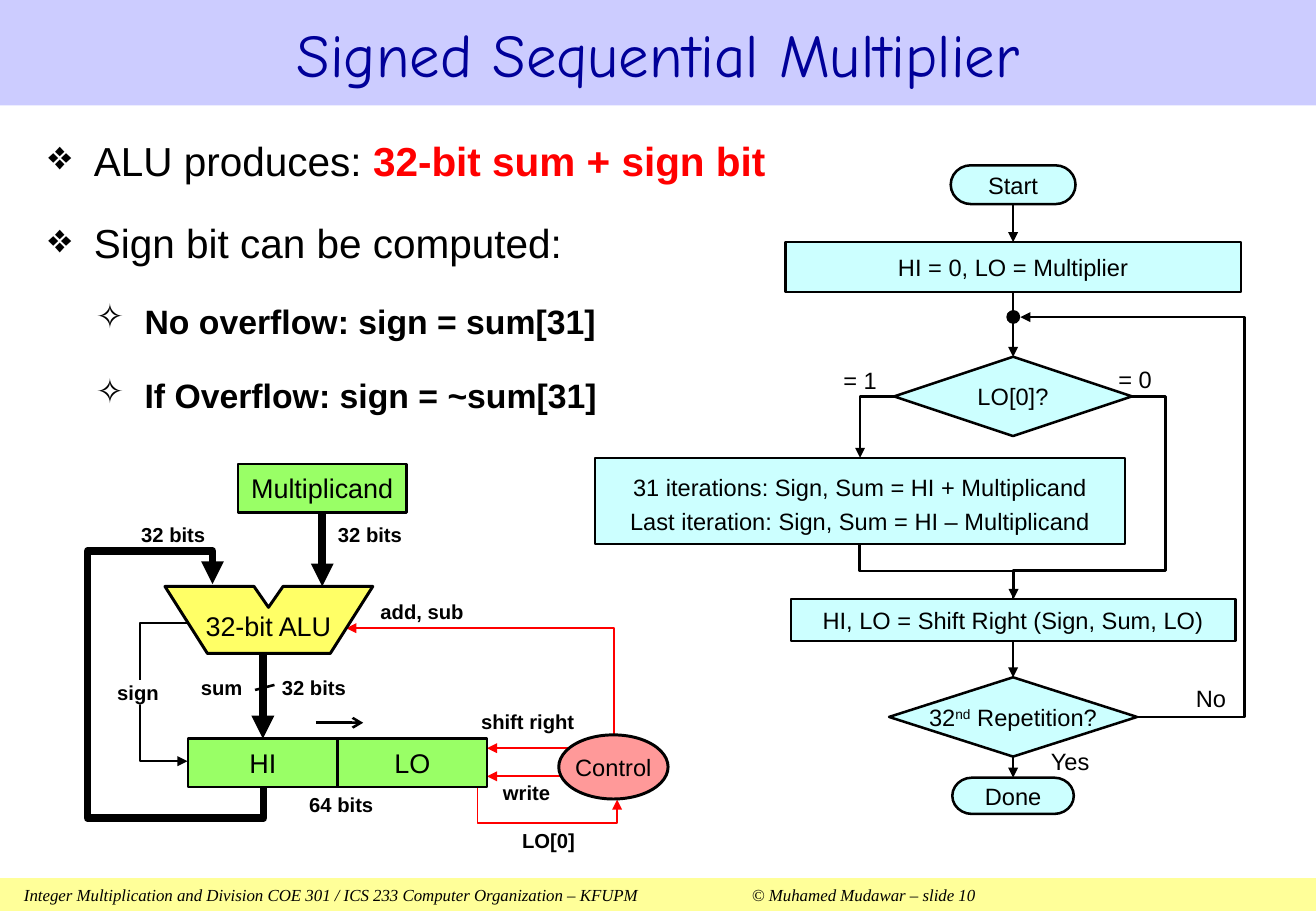
import dataclasses

import lxml.etree
import pptx
import pptx.dml.color
import pptx.enum.shapes
import pptx.enum.text
import pptx.oxml.ns
import pptx.util

Pt = pptx.util.Pt
qn = pptx.oxml.ns.qn
Kind = pptx.enum.shapes.MSO_SHAPE
Link = pptx.enum.shapes.MSO_CONNECTOR
Align = pptx.enum.text.PP_ALIGN
Anchor = pptx.enum.text.MSO_ANCHOR


@dataclasses.dataclass(frozen=True)
class Theme:
    black: str = "000000"
    white: str = "FFFFFF"
    red: str = "FF0000"
    navy: str = "000099"
    lilac: str = "CCCCFF"
    cream: str = "FFFF99"
    cyan: str = "CCFFFF"
    green: str = "99FF66"
    yellow: str = "FFFF66"
    pink: str = "FF9999"
    body_font: str = "Arial"
    title_font: str = "Comic Neue"
    footer_font: str = "Times New Roman"
    title_size: int = 36
    body_size: int = 24
    sub_size: int = 20
    block_size: int = 16
    flow_size: int = 14
    label_size: int = 12
    footer_size: int = 10
    thin: float = 1
    line: float = 1.5
    heavy: float = 1.75
    bus: float = 4.5


class Sketch:
    """Draws themed elements on the current page, measured in points."""

    def __init__(self, theme, page):
        self.theme = theme
        self.shapes = page.shapes

    def color(self, value):
        return pptx.dml.color.RGBColor.from_string(value)

    def paint(self, shape, fill=None, line=None, width=None):
        shape.shadow.inherit = False
        if fill:
            shape.fill.solid()
            shape.fill.fore_color.rgb = self.color(fill)
        else:
            shape.fill.background()
        if line:
            shape.line.color.rgb = self.color(line)
            shape.line.width = Pt(width or self.theme.line)
        else:
            shape.line.fill.background()

    def letter(self, para, spans, size, font=None, color=None, bold=False, italic=False):
        spans = [(spans, {})] if isinstance(spans, str) else spans
        para.text = spans[0][0]
        for words, _ in spans[1:]:
            para.add_run().text = words
        for span, (_, change) in zip(para.runs, spans):
            span.font.name = font or self.theme.body_font
            span.font.size = Pt(size)
            span.font.bold = change.get("bold", bold)
            span.font.italic = italic
            span.font.color.rgb = self.color(change.get("color", color or self.theme.black))
            if "baseline" in change:
                span._r.get_or_add_rPr().set("baseline", change["baseline"])

    def margins(self, frame, side=0, edge=0):
        frame.margin_left = frame.margin_right = Pt(side)
        frame.margin_top = frame.margin_bottom = Pt(edge)

    def block(self, kind, left, top, width, height, lines=(), size=14, fill=None, line=None,
              weight=None, spacing=None, wrap=False, align=Align.CENTER, side=0, **style):
        box = self.shapes.add_shape(kind, Pt(left), Pt(top), Pt(width), Pt(height))
        self.paint(box, fill, line, weight)
        frame = box.text_frame
        self.margins(frame, side)
        frame.word_wrap = wrap
        frame.vertical_anchor = Anchor.MIDDLE
        for index, spans in enumerate(lines):
            para = frame.add_paragraph() if index else frame.paragraphs[0]
            para.alignment = align
            if spacing:
                para.line_spacing = spacing
            self.letter(para, spans, size, **style)
        return box

    def label(self, left, top, width, height, words, size, bold=False):
        box = self.shapes.add_textbox(Pt(left), Pt(top), Pt(width), Pt(height))
        frame = box.text_frame
        self.margins(frame)
        frame.word_wrap = False
        frame.vertical_anchor = Anchor.MIDDLE
        frame.paragraphs[0].alignment = Align.CENTER
        self.letter(frame.paragraphs[0], words, size, bold=bold)

    def bullets(self, left, top, width, height, items):
        box = self.shapes.add_textbox(Pt(left), Pt(top), Pt(width), Pt(height))
        frame = box.text_frame
        frame.word_wrap = True
        self.margins(frame, 7.2, 3.6)
        marks = [("❖", 27, -27, self.theme.body_size), ("✧", 57, -28.8, self.theme.sub_size)]
        for index, (level, spans) in enumerate(items):
            mark, margin, indent, size = marks[level]
            para = frame.add_paragraph() if index else frame.paragraphs[0]
            self.letter(para, spans, size, bold=level == 1)
            para.level = level
            para.space_before = Pt(20)
            settings = para._p.get_or_add_pPr()
            settings.set("marL", str(Pt(margin)))
            settings.set("indent", str(Pt(indent)))
            lxml.etree.SubElement(settings, qn("a:buChar"), char=mark)

    def arrowhead(self, shape, head):
        if head:
            outline = shape.element.spPr.find(qn("a:ln"))
            lxml.etree.SubElement(outline, qn("a:tailEnd"), type=head)

    def link(self, start, end, color=None, width=None, head="triangle", kind=Link.STRAIGHT):
        ends = [Pt(value) for value in (*start, *end)]
        connector = self.shapes.add_connector(kind, *ends)
        connector.line.color.rgb = self.color(color or self.theme.black)
        connector.line.width = Pt(width or self.theme.line)
        lxml.etree.SubElement(connector.element.spPr, qn("a:effectLst"))
        self.arrowhead(connector, head)
        return connector

    def join(self, upper, lower):
        connector = self.link((0, 0), (1, 1))
        connector.begin_connect(upper, 2)
        connector.end_connect(lower, 0)

    def elbow(self, preset, start, end, turn=0, bends=(), head="triangle"):
        connector = self.link(start, end, head=head, kind=Link.ELBOW)
        connector.element.spPr.find(qn("a:xfrm")).set("rot", str(turn * 60000))
        geometry = connector.element.spPr.find(qn("a:prstGeom"))
        geometry.set("prst", preset)
        guides = geometry.find(qn("a:avLst"))
        for index, bend in enumerate(bends, 1):
            name = f"adj{index}"
            lxml.etree.SubElement(guides, qn("a:gd"), name=name, fmla=f"val {round(bend * 100000)}")

    def outline(self, points, color, width, fill=None, closed=False, head=None):
        corners = [(Pt(x), Pt(y)) for x, y in points]
        builder = self.shapes.build_freeform(*corners[0], scale=1.0)
        builder.add_line_segments(corners[1:], close=closed)
        shape = builder.convert_to_shape()
        self.paint(shape, fill, color, width)
        self.arrowhead(shape, head)


def draw_frame(sketch, theme):
    footer = sketch.block(
        Kind.RECTANGLE, 0, 520.5, 780, 19.5,
        ["Integer Multiplication and Division COE 301 / ICS 233 Computer Organization – KFUPM"
         "\t© Muhamed Mudawar – slide 10"],
        theme.footer_size, theme.cream, wrap=True, align=Align.LEFT, side=14.2,
        font=theme.footer_font, italic=True)
    settings = footer.text_frame.paragraphs[0]._p.get_or_add_pPr()
    stops = lxml.etree.SubElement(settings, qn("a:tabLst"))
    lxml.etree.SubElement(stops, qn("a:tab"), pos=str(Pt(431.5)), algn="l")
    sketch.block(Kind.RECTANGLE, 0, 0, 780, 62.5, ["Signed Sequential Multiplier"],
                 theme.title_size, theme.lilac, font=theme.title_font, color=theme.navy)
    sketch.bullets(21.6, 77, 528.5, 202, [
        (0, [("ALU produces: ", {}), ("32-bit sum + sign bit", {"color": theme.red, "bold": True})]),
        (0, "Sign bit can be computed:"),
        (1, "No overflow: sign = sum[31]"),
        (1, "If Overflow: sign = ~sum[31]")])


def draw_flowchart(sketch, theme):
    def step(kind, top, width, height, *lines, center=600.5, spacing=None):
        return sketch.block(kind, center - width / 2, top, width, height, lines,
                            theme.flow_size, theme.cyan, theme.black, spacing=spacing)

    start = step(Kind.FLOWCHART_TERMINATOR, 98, 74, 23, "Start")
    setup = step(Kind.RECTANGLE, 143.5, 270, 29.5, "HI = 0, LO = Multiplier")
    test = step(Kind.FLOWCHART_DECISION, 211.5, 141, 47, "LO[0]?")
    step(Kind.RECTANGLE, 271.4, 314, 51, "31 iterations: Sign, Sum = HI + Multiplicand",
         "Last iteration: Sign, Sum = HI – Multiplicand", center=509.8, spacing=1.2)
    shift = step(Kind.RECTANGLE, 355, 263.5, 25, "HI, LO = Shift Right (Sign, Sum, LO)")
    repeat = step(Kind.FLOWCHART_DECISION, 401.5, 147, 47,
                  [("32", {}), ("nd", {"baseline": "30000"}), (" Repetition?", {})])
    done = step(Kind.FLOWCHART_TERMINATOR, 461, 72, 21.5, "Done")
    for upper, lower in ((start, setup), (setup, test), (shift, repeat), (repeat, done)):
        sketch.join(upper, lower)
    sketch.block(Kind.OVAL, 597, 184.3, 7.2, 7.2, fill=theme.black, line=theme.black, weight=theme.thin)

    sketch.elbow("bentConnector2", (509.8, 271.4), (530, 235), turn=180)
    sketch.elbow("bentConnector3", (571.7, 292.9), (538.6, 384.1), turn=270, bends=(0.5,))
    sketch.elbow("bentConnector4", (671, 235), (600.5, 355), bends=(-0.28, 0.86), head=None)
    sketch.elbow("bentConnector3", (674, 425), (604.8, 188), bends=(-0.92,))
    for left, top, width, words in ((654, 212.5, 37.5, "= 0"), (492.5, 213.5, 34.5, "= 1"),
                                    (701.5, 402, 32.5, "No"), (615.5, 439, 37.5, "Yes")):
        sketch.label(left, top, width, 24, words, theme.flow_size)


def draw_datapath(sketch, theme):
    sketch.outline([(157, 369.4), (83.2, 369.4), (83.2, 451.2), (111.2, 451.2)],
                   theme.black, theme.thin, head="triangle")
    sketch.outline([(156.2, 466), (156.2, 485), (52, 485), (52, 326.6), (126, 326.6), (126, 346.3)],
                   theme.black, theme.bus, head="triangle")
    for points in ([(283, 465.4), (283, 488), (365.8, 488), (365.8, 474)],
                   [(363.8, 438), (363.8, 372.4), (205.3, 372.4)]):
        sketch.outline(points, theme.red, theme.thin, head="triangle")
    for start, height in ((338.4, 443.5), (334.8, 460.2)):
        sketch.link((start, height), (288.7, height), theme.red, theme.thin)
    sketch.outline([(221, 347.6), (167.8, 347.6), (159.2, 360), (150.6, 347.6), (97.8, 347.6),
                    (123, 387.3), (195.8, 387.3)],
                   theme.black, theme.heavy, theme.yellow, closed=True)
    sketch.label(113, 357, 92.2, 28, "32-bit ALU", theme.block_size)

    def register(left, top, width, words):
        return sketch.block(Kind.RECTANGLE, left, top, width, 28.8, [words],
                            theme.block_size, theme.green, theme.black)

    multiplicand = register(141, 275, 100, "Multiplicand")
    high = register(111.5, 437.8, 88.6, "HI")
    register(200.1, 437.8, 88.6, "LO")
    operand = sketch.link((191, 303.8), (191, 347.6), width=theme.bus)
    operand.begin_connect(multiplicand, 2)
    result = sketch.link((155.8, 387.3), (155.8, 437.8), width=theme.bus)
    result.end_connect(high, 0)
    sketch.block(Kind.OVAL, 331.2, 435.6, 64.8, 38, ["Control"], theme.flow_size,
                 theme.pink, theme.black, theme.heavy)
    sketch.link((187.2, 428.4), (215.3, 428.4), head="arrow")
    sketch.link((151.2, 409), (162.7, 406), head=None)
    sketch.block(Kind.RECTANGLE, 62, 403.2, 39.6, 14.4, ["sign"], theme.label_size,
                 theme.white, bold=True)
    for left, top, width, words in (
            (80, 309.6, 45.4, "32 bits"), (196.6, 309.6, 45.4, "32 bits"),
            (163.4, 400.3, 45.4, "32 bits"), (113, 400.3, 36.7, "sum"),
            (180, 469.5, 44.6, "64 bits"), (292.3, 462.5, 39.6, "write"),
            (215.3, 355, 69.8, "add, sub"), (287.3, 491, 75.6, "LO[0]"),
            (275, 420.5, 75.6, "shift right")):
        sketch.label(left, top, width, 14.4, words, theme.label_size, bold=True)


def main():
    deck = pptx.Presentation()
    deck.slide_width, deck.slide_height = Pt(780), Pt(540)
    theme = Theme()
    sketch = Sketch(theme, deck.slides.add_slide(deck.slide_layouts[6]))
    draw_frame(sketch, theme)
    draw_flowchart(sketch, theme)
    draw_datapath(sketch, theme)
    deck.save("out.pptx")


if __name__ == "__main__":
    main()
